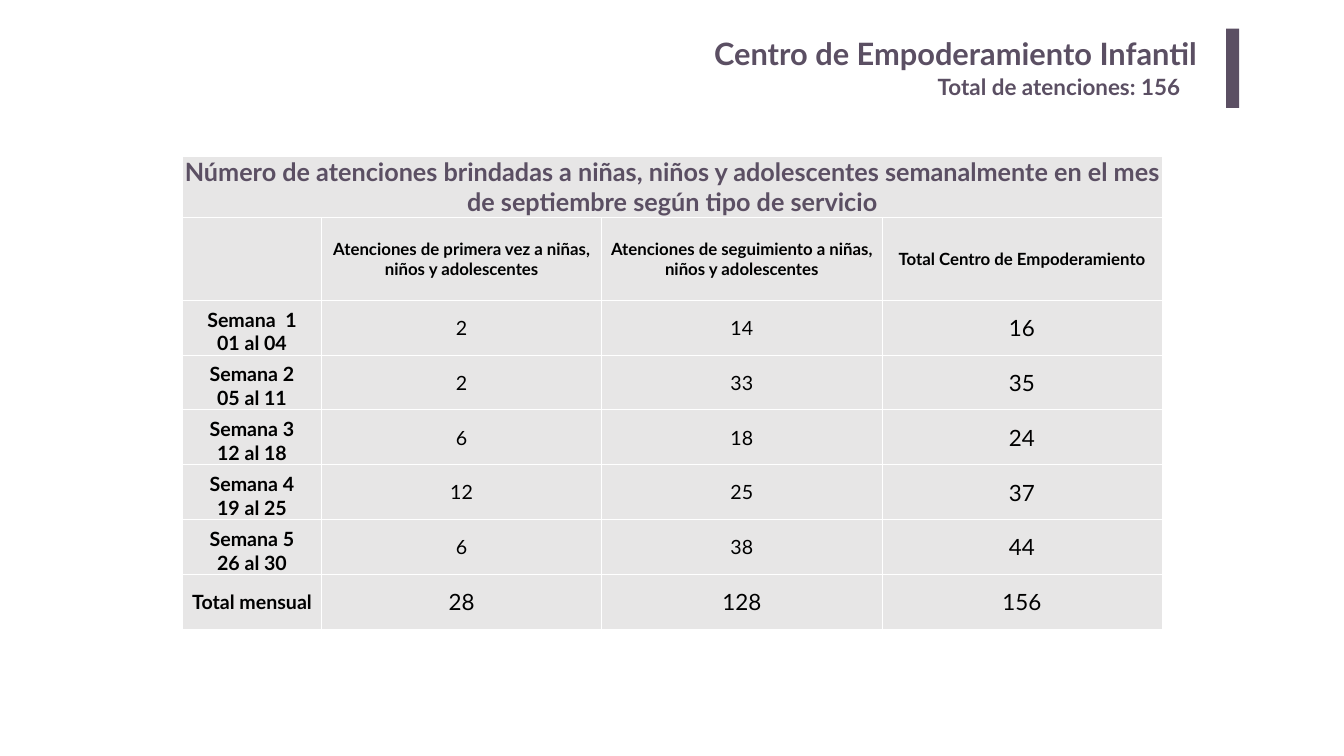
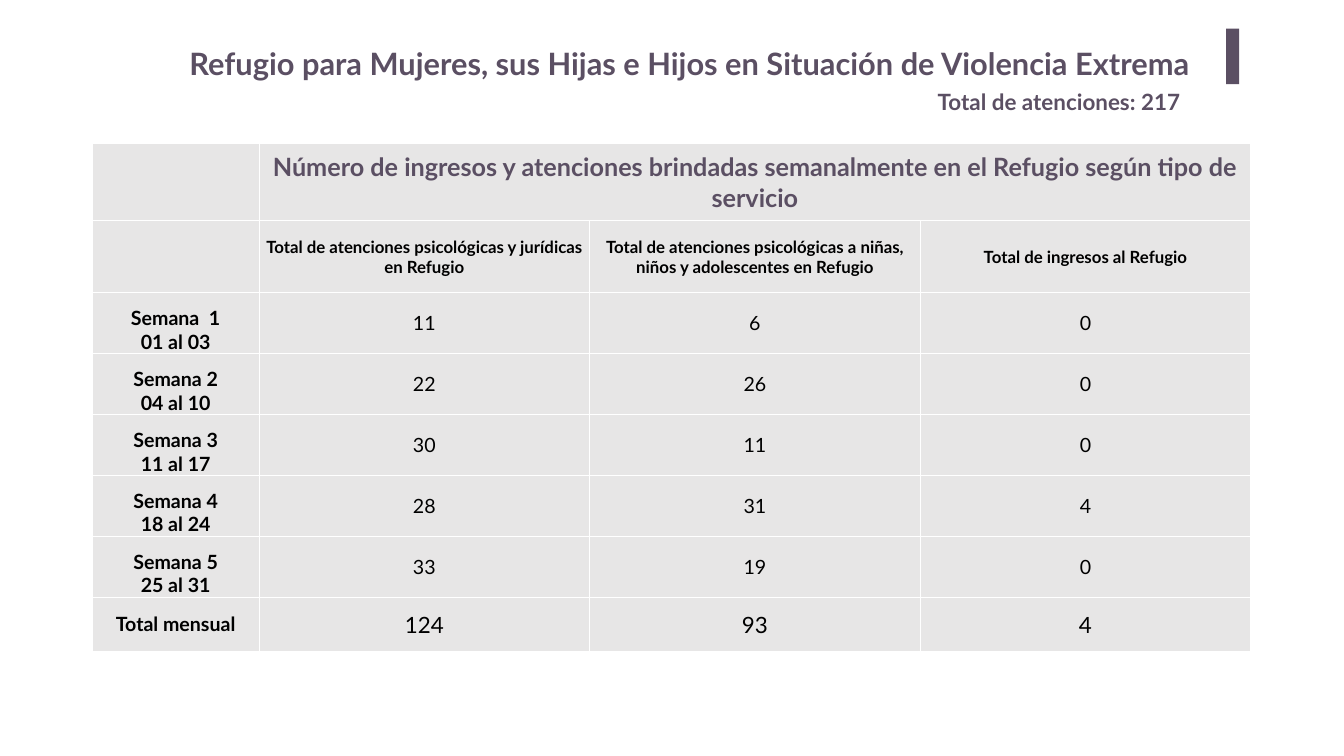
from dataclasses import dataclass

from lxml import etree
from pptx import Presentation
from pptx.dml.color import RGBColor
from pptx.enum.shapes import MSO_SHAPE
from pptx.enum.text import MSO_ANCHOR, MSO_AUTO_SIZE, PP_ALIGN
from pptx.oxml.ns import qn
from pptx.util import Inches, Pt

RECTANGLE = MSO_SHAPE.RECTANGLE
TOP, MIDDLE, BOTTOM = MSO_ANCHOR.TOP, MSO_ANCHOR.MIDDLE, MSO_ANCHOR.BOTTOM
LEFT, CENTER, RIGHT = PP_ALIGN.LEFT, PP_ALIGN.CENTER, PP_ALIGN.RIGHT
NO_AUTOFIT = MSO_AUTO_SIZE.NONE
TITLE_ONLY = 5


@dataclass(frozen=True)
class Theme:
    font: str = "Lato"
    purple: RGBColor = RGBColor(0x5B, 0x4F, 0x63)
    black: RGBColor = RGBColor(0, 0, 0)
    cell: RGBColor = RGBColor(0xE7, 0xE6, 0xE6)
    border: str = "FFFFFF"
    title: int = 44
    caption: int = 36
    total: int = 32
    body: int = 28
    header: int = 24


THEME = Theme()

# Content: each week is (label, values); lengths are in inches
REPORTS = [
    dict(
        title="Centro de Empoderamiento Infantil",
        title_at=(3.66, 0.58, 20.3, 1.02), title_align=RIGHT, title_inset=(0.2, 0.1),
        subtitle="Total de atenciones: 156", subtitle_top=1.41, bar_height=1.57,
        caption="Número de atenciones brindadas a niñas, niños y adolescentes "
                "semanalmente en el mes de septiembre según tipo de servicio",
        caption_column=0,
        headers=["Atenciones de primera vez a niñas, niños y adolescentes",
                 "Atenciones de seguimiento a niñas, niños y adolescentes",
                 "Total Centro de Empoderamiento"],
        weeks=[("Semana  1\n01 al 04", (2, 14, 16)),
               ("Semana 2\n05 al 11", (2, 33, 35)),
               ("Semana 3\n12 al 18", (6, 18, 24)),
               ("Semana 4\n19 al 25", (12, 25, 37)),
               ("Semana 5\n26 al 30", (6, 38, 44))],
        totals=(28, 128, 156),
        value_sizes=(THEME.body, THEME.body, THEME.total),
        table_at=(3.62, 3.1), label_width=2.76, value_width=5.56,
        caption_height=1.2, header_height=1.64, week_height=1.09, total_height=1.09,
    ),
    dict(
        title="Refugio para Mujeres, sus Hijas e Hijos en Situación de Violencia Extrema",
        title_at=(3.66, 0.84, 20.73, 0.84), title_align=LEFT, title_inset=(0.1, 0.05),
        subtitle="Total de atenciones: 217", subtitle_top=1.69, bar_height=1.1,
        caption="Número de ingresos y atenciones brindadas semanalmente en el "
                "Refugio según tipo de servicio",
        caption_column=1,
        headers=["Total de atenciones psicológicas y jurídicas en Refugio",
                 "Total de atenciones psicológicas a niñas, niños y adolescentes en Refugio",
                 "Total de ingresos al Refugio"],
        weeks=[("Semana  1\n01 al 03", (11, 6, 0)),
               ("Semana 2\n04 al 10", (22, 26, 0)),
               ("Semana 3\n11 al 17", (30, 11, 0)),
               ("Semana 4\n18 al 24", (28, 31, 4)),
               ("Semana 5\n25 al 31", (33, 19, 0))],
        totals=(124, 93, 4),
        value_sizes=(THEME.body,) * 3,
        table_at=(1.83, 2.84), label_width=3.31, value_width=6.56,
        caption_height=1.54, header_height=1.42, week_height=1.21, total_height=1.07,
    ),
]


def write(frame, text, size, color=THEME.purple, bold=True, align=LEFT):
    """Put one paragraph in a text frame; newlines become line breaks."""
    frame.word_wrap = True
    para = frame.paragraphs[0]
    para.text = text
    para.alignment = align
    font = para.font
    font.name, font.size, font.bold = THEME.font, Pt(size), bold
    font.color.rgb = color


def add_heading(page, report):
    # Title
    title = page.shapes.title
    title.left, title.top, title.width, title.height = map(Inches, report["title_at"])
    frame = title.text_frame
    frame.auto_size = NO_AUTOFIT
    frame.vertical_anchor = TOP
    across, down = map(Inches, report["title_inset"])
    frame.margin_left = frame.margin_right = across
    frame.margin_top = frame.margin_bottom = down
    write(frame, report["title"], THEME.title, align=report["title_align"])

    # Subtitle
    box = page.shapes.add_textbox(
        Inches(18.51), Inches(report["subtitle_top"]), Inches(5.51), Inches(0.64))
    write(box.text_frame, report["subtitle"], THEME.total)

    # Side bar
    bar = page.shapes.add_shape(
        RECTANGLE, Inches(24.33), Inches(0.57), Inches(0.26), Inches(report["bar_height"]))
    bar.shadow.inherit = False
    bar.fill.solid()
    bar.fill.fore_color.rgb = THEME.purple
    bar.line.fill.background()


def style_cell(cell):
    properties = cell._tc.get_or_add_tcPr()
    for side in ("a:lnL", "a:lnR", "a:lnT", "a:lnB"):
        line = etree.SubElement(properties, qn(side), w=str(Pt(1)))
        fill = etree.SubElement(line, qn("a:solidFill"))
        etree.SubElement(fill, qn("a:srgbClr"), val=THEME.border)
    cell.fill.solid()
    cell.fill.fore_color.rgb = THEME.cell
    cell.margin_left = cell.margin_right = cell.margin_top = Inches(0.01)
    cell.margin_bottom = 0
    cell.vertical_anchor = MIDDLE


def add_report_table(page, report):
    weeks = report["weeks"]
    widths = [report["label_width"]] + [report["value_width"]] * len(report["headers"])
    heights = [report["caption_height"], report["header_height"],
               *[report["week_height"]] * len(weeks), report["total_height"]]
    left, top = report["table_at"]
    table = page.shapes.add_table(
        len(heights), len(widths), Inches(left), Inches(top),
        Inches(sum(widths)), Inches(sum(heights))).table
    table.first_row = table.horz_banding = False
    for column, width in zip(table.columns, widths):
        column.width = Inches(width)
    for row, height in zip(table.rows, heights):
        row.height = Inches(height)
    for cell in table.iter_cells():
        style_cell(cell)

    # Caption and column headers
    caption = table.cell(0, report["caption_column"])
    caption.merge(table.cell(0, len(widths) - 1))
    write(caption.text_frame, report["caption"], THEME.caption, align=CENTER)
    for column, header in enumerate(report["headers"], 1):
        write(table.cell(1, column).text_frame, header, THEME.header, THEME.black,
              align=CENTER)

    # Weeks and monthly total
    total_sizes = (THEME.total,) * len(report["headers"])
    lines = [(label, values, report["value_sizes"], BOTTOM) for label, values in weeks]
    lines.append(("Total mensual", report["totals"], total_sizes, MIDDLE))
    for row, (label, values, sizes, anchor) in enumerate(lines, 2):
        label_cell = table.cell(row, 0)
        label_cell.vertical_anchor = anchor
        write(label_cell.text_frame, label, THEME.body, THEME.black, align=CENTER)
        for column, (value, size) in enumerate(zip(values, sizes), 1):
            write(table.cell(row, column).text_frame, str(value), size, THEME.black,
                  bold=False, align=CENTER)


def main():
    deck = Presentation()
    deck.slide_width, deck.slide_height = Inches(26.67), Inches(15)
    for report in REPORTS:
        page = deck.slides.add_slide(deck.slide_layouts[TITLE_ONLY])
        add_heading(page, report)
        add_report_table(page, report)
    deck.save("out.pptx")


if __name__ == "__main__":
    main()
